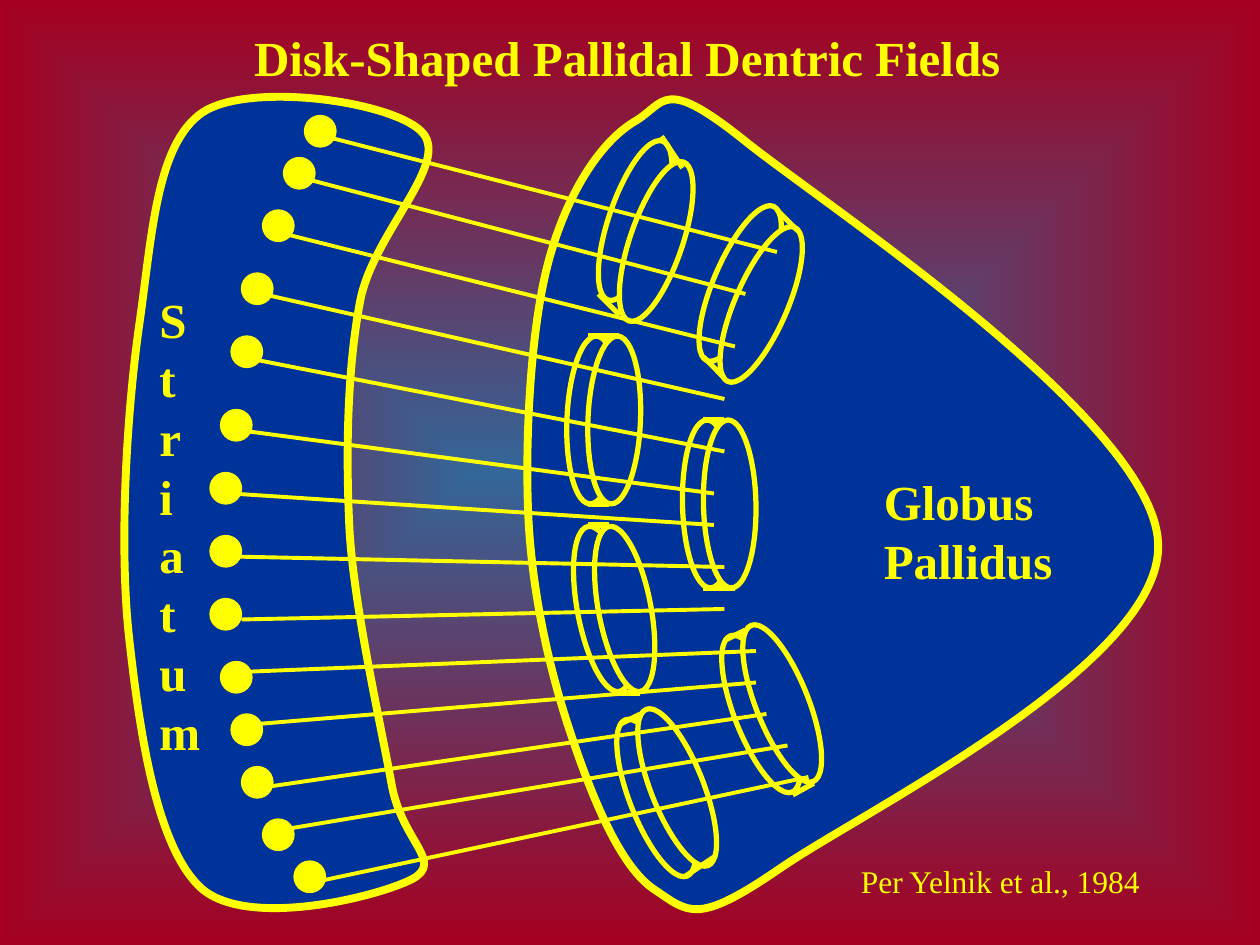
from lxml.etree import SubElement
from pptx import Presentation
from pptx.dml.color import RGBColor
from pptx.enum.shapes import MSO_CONNECTOR as CONN, MSO_SHAPE as SHAPE
from pptx.enum.text import MSO_ANCHOR as ANCHOR, PP_ALIGN as ALIGN
from pptx.oxml.ns import qn
from pptx.util import Cm, Pt

COLORS = {"ink": "FFFF00", "body": "003399", "center": "336699", "edge": "A50021"}
FONT = "Times New Roman"

PALLIDUM_OUTLINE = [
    (12.4, 5.6),
    (9.1, 7.6), (6, 12.5), (4.3, 18.7),
    (2.6, 24.8), (2, 35.2), (2.3, 42.7),
    (2.6, 50.2), (4.3, 57.7), (6.3, 63.7),
    (8.3, 69.7), (11, 76.5), (14.3, 78.7),
    (17.6, 80.9), (18.3, 82.2), (26.3, 76.7),
    (34.3, 71.2), (62.9, 57.1), (62.3, 45.7),
    (61.8, 34.2), (31.7, 14.3), (23.3, 7.7),
    (15, 1), (15.5, 3.8), (12.4, 5.6),
]
STRIATUM_OUTLINE = [
    (34.3, 6.7),
    (36.8, 9.7), (29.5, 16.3), (28.3, 22.7),
    (27.1, 29), (26.9, 37), (27.3, 44.7),
    (27.8, 52.3), (30.3, 63.1), (31.3, 68.7),
    (32.3, 74.2), (36.3, 76), (33.3, 77.7),
    (30.3, 79.3), (17.9, 82.5), (13.3, 78.7),
    (8.9, 74.9), (7.3, 63.7), (6.3, 54.7),
    (5.3, 45.7), (6.1, 33), (7.3, 24.7),
    (8.5, 16.3), (8.9, 7.7), (13.3, 4.7),
    (17.9, 1.7), (31.8, 3.7), (34.3, 6.7),
]
DISKS = [
    ((10, 7), 18.9, (2, 2), [(9, 22, 11, 24), (15, 7, 17, 10)]),
    ((6, 26), 2.3, (2, 0), [(8, 42, 10, 42), (8, 26, 11, 26)]),
    ((7, 44), -10.7, (2, 0), [(11, 60, 13, 60), (8, 44, 10, 44)]),
    ((12, 62), -21.6, (2, -1), [(11, 63, 13, 62), (17.2, 77.5, 20.2, 75.5)]),
    ((22, 54), -21.6, (2, -1), [(21, 55, 23, 54), (27.5, 69.7, 29.5, 68.6)]),
    ((17, 34), -1.2, (2, 0), [(19, 34, 21, 34), (19, 50, 22, 50)]),
    ((20, 13), 23.4, (2, 2), [(26, 14, 28, 16), (19, 28, 21, 30)]),
]
NEURONS = [
    ((23, 5), (25, 7, 68, 18)),
    ((21, 9), (23, 11, 65, 22)),
    ((19, 14), (20, 16, 64, 27)),
    ((17, 20), (19, 22, 63, 32)),
    ((16, 26), (17, 28, 63, 37)),
    ((15, 33), (17, 35, 62, 41)),
    ((14, 39), (16, 41, 62, 44)),
    ((14, 45), (16, 47, 63, 48)),
    ((14, 51), (17, 53, 63, 52)),
    ((15, 57), (17, 58, 66, 56)),
    ((16, 62), (18, 63, 66, 59)),
    ((17, 67), (19, 69, 67, 62)),
    ((19, 72), (21, 73, 69, 65)),
    ((22, 76), (24, 78, 71, 68)),
]


def grid(*values):
    return [Cm(2.54 * v / 12) for v in values]


def color(name):
    return RGBColor.from_string(COLORS[name])


def style(sp, fill, width):
    sp.shadow.inherit = False
    if fill:
        sp.fill.solid()
        sp.fill.fore_color.rgb = color(fill)
    else:
        sp.fill.background()
    sp.line.color.rgb = color("ink")
    sp.line.width = Pt(width)


def add_ellipse(slide, x, y, w, h, fill, width, rotation=0):
    sp = slide.shapes.add_shape(SHAPE.OVAL, *grid(x, y, w, h))
    style(sp, fill, width)
    sp.rotation = rotation


def add_line(slide, box, ends, width):
    x, y = box
    x1, y1, x2, y2 = ends
    line = slide.shapes.add_connector(
        CONN.STRAIGHT, *grid(x + x1, y + y1, x + x2, y + y2))
    line.line.color.rgb = color("ink")
    line.line.width = Pt(width)
    SubElement(line._element.spPr, qn("a:effectLst"))


def add_outline(slide, box, points):
    x, y = box
    start, *rest = [grid(x + px, y + py) for px, py in points]
    builder = slide.shapes.build_freeform(*start)
    builder.add_line_segments(rest, close=True)
    sp = builder.convert_to_shape()
    style(sp, "body", 4.5)
    segments = list(sp._element.iter(qn("a:lnTo")))
    for i in range(0, len(segments), 3):
        first, second, third = segments[i:i + 3]
        first.tag = qn("a:cubicBezTo")
        for segment in (second, third):
            first.append(segment[0])
            segment.getparent().remove(segment)


def write(sp, text, size=28, bold=True):
    tf = sp.text_frame
    tf.text = text
    tf.word_wrap = False
    tf.vertical_anchor = ANCHOR.TOP
    for p in tf.paragraphs:
        p.alignment = ALIGN.LEFT
        p.line_spacing = Pt(size * 1.2)
        p.space_before = Pt(0)
        for r in p.runs:
            r.font.name = FONT
            r.font.size = Pt(size)
            r.font.bold = bold
            r.font.color.rgb = color("ink")


def add_label(slide, x, y, w, h, text, **fmt):
    write(slide.shapes.add_textbox(*grid(x, y, w, h)), text, **fmt)


def paint_background(slide):
    fill = slide.background.fill
    fill.gradient()
    for stop, name in zip(fill.gradient_stops, ("center", "edge")):
        stop.color.rgb = color(name)
    grad = slide._element.find(".//" + qn("a:gradFill"))
    grad.remove(grad.find(qn("a:lin")))
    path = SubElement(grad, qn("a:path"), path="rect")
    SubElement(path, qn("a:fillToRect"), l="50000", t="50000", r="50000", b="50000")


def set_title(slide, box):
    title = slide.shapes.title
    title.left, title.top, title.width, title.height = grid(*box)
    write(title, "Disk-Shaped Pallidal Dentric Fields")


def add_pallidum(slide, box):
    x, y = box
    add_outline(slide, box, PALLIDUM_OUTLINE)
    for (left, top), rotation, (dx, dy), rims in DISKS:
        add_ellipse(slide, x + left, y + top, 5, 16, None, 3, rotation)
        add_ellipse(slide, x + left + dx, y + top + dy, 5, 16, "body", 3, rotation)
        for rim in rims:
            add_line(slide, box, rim, 3)
    add_label(slide, x + 35, y + 38.3, 18.5, 12.4, "Globus\nPallidus")


def add_striatum(slide, box):
    x, y = box
    add_outline(slide, box, STRIATUM_OUTLINE)
    add_label(slide, x + 8, y + 21, 6.2, 51.7, "\n".join("Striatum"))


def add_neurons(slide, box):
    x, y = box
    for (left, top), axon in NEURONS:
        add_ellipse(slide, x + left, y + top, 3, 3, "ink", 0.75)
        add_line(slide, box, axon, 2.25)


def main():
    prs = Presentation()
    prs.slide_width, prs.slide_height = Cm(25.4), Cm(19.05)
    slide = prs.slides.add_slide(prs.slide_layouts[5])
    paint_background(slide)
    set_title(slide, (23, 2, 75, 6.8))
    add_pallidum(slide, (48, 6))
    add_striatum(slide, (6, 6))
    add_neurons(slide, (6, 6))
    add_label(slide, 80.8, 81.5, 29.4, 4.8, "Per Yelnik et al., 1984",
              size=18, bold=False)
    prs.save("out.pptx")


if __name__ == "__main__":
    main()
